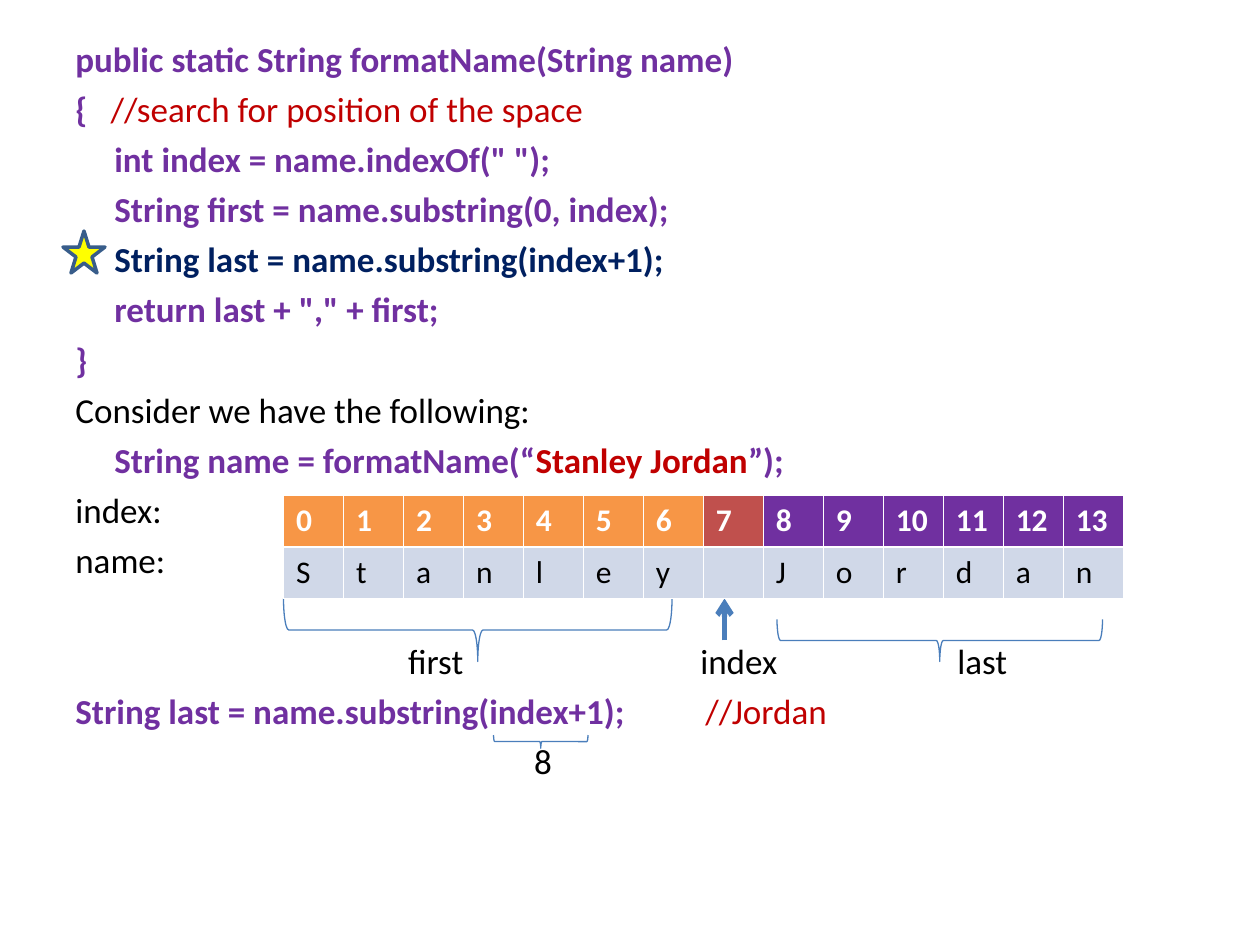
"""Build a slide that traces formatName through an indexed table of letters."""
from lxml import etree
from pptx import Presentation
from pptx.dml.color import RGBColor
from pptx.enum.shapes import MSO_CONNECTOR, MSO_SHAPE
from pptx.oxml.ns import qn
from pptx.util import Inches, Pt

STRAIGHT = MSO_CONNECTOR.STRAIGHT
BRACE = MSO_SHAPE.RIGHT_BRACE
STAR = MSO_SHAPE.STAR_5_POINT
PURPLE, RED, NAVY, BLACK, WHITE = "7030A0", "C00000", "002060", "000000", "FFFFFF"
ORANGE, BRICK, PALE, BLUE = "F79646", "C0504D", "D0D8E8", "4A7EBB"


def color(value):
    return RGBColor.from_string(value)


def grid(units):
    return Inches(units / 12)


deck = Presentation()
deck.slide_width, deck.slide_height = grid(120), grid(90)
page = deck.slides.add_slide(deck.slide_layouts[6])

CODE = {"bold": True, "color": PURPLE}
KEY = {"bold": True, "color": NAVY}
NAME = {"bold": True, "color": RED}
COMMENT = {"bold": False, "color": RED}
PLAIN = {"bold": False, "color": BLACK}
INDENT, GAP, LABEL_GAP = 0.31, 4.6, 33.6

lines = [
    (0, GAP, [], [("public static String formatName(String name)", CODE)]),
    (0, GAP, [0.28], [("{\t", CODE), ("//search for position of the space", COMMENT)]),
    (INDENT, GAP, [], [('int index = name.indexOf(" ");', CODE)]),
    (INDENT, GAP, [], [("String first = name.substring(0, index);", CODE)]),
    (INDENT, GAP, [], [("String last = name.substring(index+1);", KEY)]),
    (INDENT, GAP, [], [('return last + "," + first;', CODE)]),
    (0, GAP, [], [("}", CODE)]),
    (0, GAP, [], [("Consider we have the following:", PLAIN)]),
    (INDENT, GAP, [], [("String name = formatName(“", CODE), ("Stanley Jordan", NAME), ("”);", CODE)]),
    (0, GAP, [], [("index:", PLAIN)]),
    (0, GAP, [], [("name:", PLAIN)]),
    (0, LABEL_GAP, [2.64, 4.96, 7], [("\tfirst\tindex\tlast", PLAIN)]),
    (0, GAP, [5], [("String last = name.substring(index+1);\t", CODE), ("//Jordan", COMMENT)]),
    (0, GAP, [3.64], [("\t8", PLAIN)]),
]
box = page.shapes.add_textbox(grid(6), grid(3), grid(108), grid(77.4))
frame = box.text_frame
frame.word_wrap = True
for number, (indent, gap, stops, spans) in enumerate(lines):
    para = frame.add_paragraph() if number else frame.paragraphs[0]
    para.space_before = Pt(gap)
    props = para._p.get_or_add_pPr()
    props.set("marL", str(Inches(indent)))
    if stops:
        tabs = etree.SubElement(props, qn("a:tabLst"))
        for stop in stops:
            etree.SubElement(tabs, qn("a:tab"), pos=str(Inches(stop)), algn="l")
    for text, look in spans:
        span = para.add_run()
        span.text = text
        for key, value in {"name": "Calibri", "size": Pt(20), "bold": look["bold"]}.items():
            setattr(span.font, key, value)
        span.font.color.rgb = color(look["color"])

arrow = page.shapes.add_connector(STRAIGHT, grid(69), grid(61), grid(69), grid(57))
arrow.line.width = Pt(3)
arrow.line.color.rgb = color(BLUE)
etree.SubElement(arrow.line._get_or_add_ln(), qn("a:tailEnd"), type="arrow")
etree.SubElement(arrow._element.spPr, qn("a:effectLst"))

for center, top, span_width, depth in [(45.5, 57, 37, 6), (89.5, 59, 31, 4), (51.5, 70, 9, 1.25)]:
    left, upper = center - depth / 2, top + depth / 2 - span_width / 2
    brace = page.shapes.add_shape(BRACE, grid(left), grid(upper), grid(depth), grid(span_width))
    brace.rotation = 90
    brace.shadow.inherit = False
    brace.fill.background()
    brace.line.color.rgb = color(BLUE)
    brace.line.width = Pt(0.75)

star = page.shapes.add_shape(STAR, grid(6), grid(22), grid(4), grid(4))
star.shadow.inherit = False
star.fill.solid()
star.fill.fore_color.rgb = color("FFFF00")
star.line.color.rgb = color("385D8A")
star.line.width = Pt(2)

letters = "Stanley Jordan"
space = letters.index(" ")
table = page.shapes.add_table(2, len(letters), grid(27), grid(47.2), grid(80), grid(9.75)).table
for column, letter in enumerate(letters):
    header_fill = ORANGE if column < space else BRICK if column == space else PURPLE
    rows = [(str(column), header_fill, WHITE, True), (letter.strip(), PALE, BLACK, False)]
    for row, (text, fill, ink, bold) in enumerate(rows):
        cell = table.cell(row, column)
        widths = {"lnL": 0.45, "lnR": 0.45, "lnT": 1.47 if row else 0.45, "lnB": 0.45 if row else 1.47}
        for side, width in widths.items():
            border = etree.SubElement(cell._tc.get_or_add_tcPr(), qn("a:" + side), w=str(Pt(width)))
            paint = etree.SubElement(border, qn("a:solidFill"))
            etree.SubElement(paint, qn("a:srgbClr"), val=WHITE)
        cell.fill.solid()
        cell.fill.fore_color.rgb = color(fill)
        para = cell.text_frame.paragraphs[0]
        para.font.size = Pt(18)
        if text:
            span = para.add_run()
            span.text = text
            for key, value in {"name": "Calibri", "size": Pt(18), "bold": bold}.items():
                setattr(span.font, key, value)
            span.font.color.rgb = color(ink)

deck.save("out.pptx")
